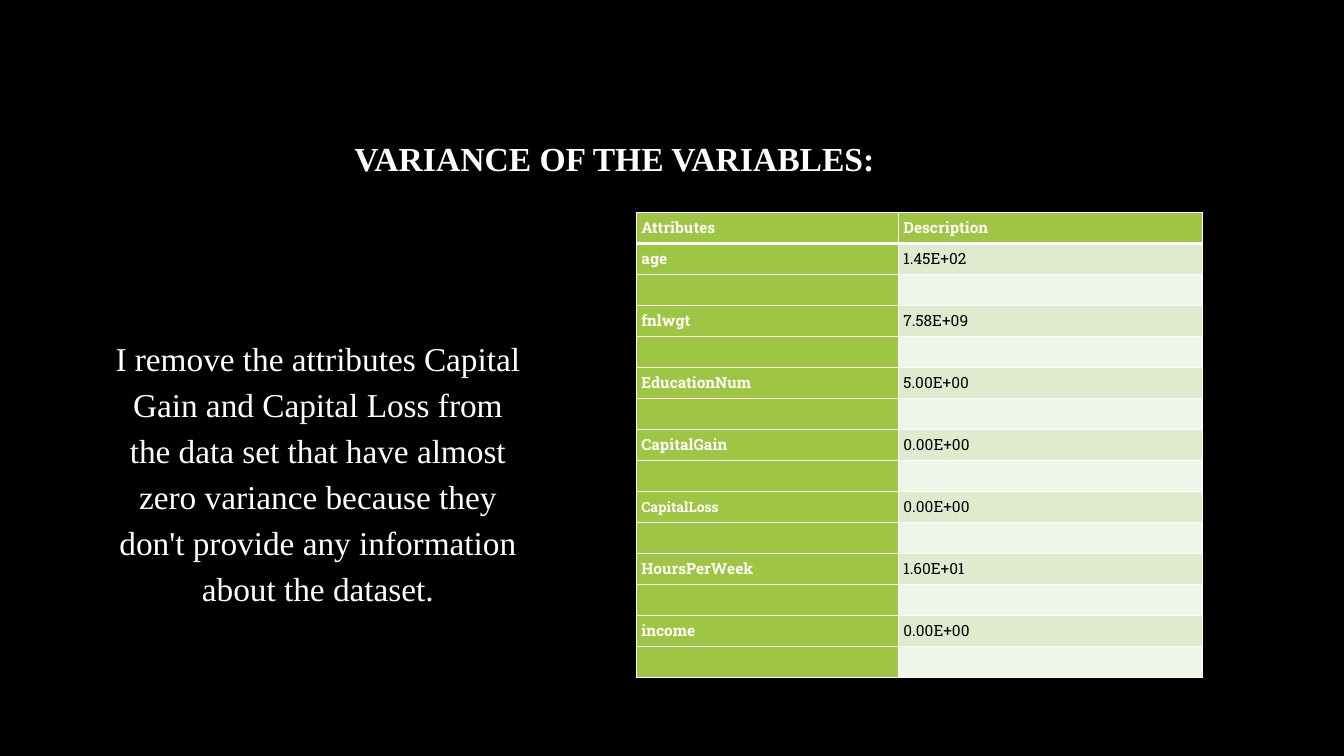
from pptx import Presentation
from pptx.dml.color import RGBColor
from pptx.enum.text import MSO_ANCHOR, MSO_AUTO_SIZE, PP_ALIGN
from pptx.oxml.ns import qn
from pptx.oxml.xmlchemy import OxmlElement
from pptx.util import Pt

TOP, MIDDLE, BOTTOM = MSO_ANCHOR.TOP, MSO_ANCHOR.MIDDLE, MSO_ANCHOR.BOTTOM
LEFT, CENTER = PP_ALIGN.LEFT, PP_ALIGN.CENTER
NO_FIT = MSO_AUTO_SIZE.NONE

COLORS = {
    "background": "000000",
    "light": "FFFFFF",
    "dark": "000000",
    "label": "9EC544",
    "value": "DFEACF",
    "spacer": "F0F5E9",
}
SERIF = "Times New Roman"
SLAB = "Roboto Slab"

VARIANCES = [
    ("age", "1.45E+02"),
    ("fnlwgt", "7.58E+09"),
    ("EducationNum", "5.00E+00"),
    ("CapitalGain", "0.00E+00"),
    ("CapitalLoss", "0.00E+00"),
    ("HoursPerWeek", "1.60E+01"),
    ("income", "0.00E+00"),
]
SMALL_LABEL = "CapitalLoss"


def rgb(name):
    return RGBColor.from_string(COLORS[name])


def write(frame, text, font=SERIF, size=24, color="light", bold=False,
          align=LEFT, spacing=1.0):
    para = frame.paragraphs[0]
    para.alignment = align
    para.line_spacing = spacing
    para.space_before = Pt(0)
    if not text:
        end = OxmlElement("a:endParaRPr")
        end.set("sz", str(size * 100))
        para._p.append(end)
        return para
    span = para.add_run()
    span.text = text
    span.font.name = font
    span.font.size = Pt(size)
    span.font.bold = bold
    span.font.color.rgb = rgb(color)
    return para


class SlideBuilder:
    def __init__(self, deck):
        self.page = deck.slides.add_slide(deck.slide_layouts[1])
        fill = self.page.background.fill
        fill.solid()
        fill.fore_color.rgb = rgb("background")

    def place(self, box, left, top, width, height, anchor):
        box.left, box.top = Pt(left), Pt(top)
        box.width, box.height = Pt(width), Pt(height)
        frame = box.text_frame
        frame.word_wrap = True
        frame.auto_size = NO_FIT
        frame.vertical_anchor = anchor
        return frame

    def title(self, text, *bounds):
        frame = self.place(self.page.shapes.title, *bounds, anchor=BOTTOM)
        frame.margin_left = Pt(42)
        frame.margin_bottom = Pt(34)
        write(frame, text, bold=True, align=CENTER, spacing=0.9)

    def body(self, text, *bounds):
        frame = self.place(self.page.placeholders[1], *bounds, anchor=TOP)
        para = write(frame, text, size=23.8, align=CENTER, spacing=1.15)
        properties = para._p.get_or_add_pPr()
        properties.set("marL", "0")
        properties.set("indent", "0")
        properties.append(OxmlElement("a:buNone"))

    def border(self, cell, **widths):
        properties = cell._tc.get_or_add_tcPr()
        for position, (side, width) in enumerate(widths.items()):
            line = OxmlElement(f"a:ln{side}")
            line.set("w", str(Pt(width)))
            fill = OxmlElement("a:solidFill")
            color = OxmlElement("a:srgbClr")
            color.set("val", COLORS["light"])
            fill.append(color)
            line.append(fill)
            properties.insert(position, line)

    def cell(self, cell, text, fill, row, **text_format):
        cell.margin_left = cell.margin_right = Pt(3.6)
        cell.margin_top = cell.margin_bottom = Pt(3.6)
        cell.vertical_anchor = MIDDLE
        cell.fill.solid()
        cell.fill.fore_color.rgb = rgb(fill)
        self.border(cell, L=1, R=1, T=3 if row == 1 else 1, B=3 if row == 0 else 1)
        write(cell.text_frame, text, font=SLAB, **text_format)

    def table(self, header, records, left, top, widths, row_height):
        rows = [header]
        for record in records:
            rows += [record, ("", "")]
        frame = self.page.shapes.add_table(
            len(rows), len(widths), Pt(left), Pt(top),
            Pt(sum(widths)), Pt(row_height * len(rows)))
        table = frame.table
        for column, width in zip(table.columns, widths):
            column.width = Pt(width)
        for row, texts in enumerate(rows):
            table.rows[row].height = Pt(row_height)
            for column, text in enumerate(texts):
                is_label = row == 0 or column == 0
                band = "value" if row % 2 else "spacer"
                self.cell(table.cell(row, column), text,
                          "label" if is_label else band, row,
                          size=10 if text == SMALL_LABEL else 11,
                          color="light" if is_label else "dark",
                          bold=is_label)


def main():
    deck = Presentation()
    deck.slide_width, deck.slide_height = Pt(960), Pt(540)
    slide = SlideBuilder(deck)
    slide.title("VARIANCE OF THE VARIABLES:", 66, 36, 711, 126)
    slide.table(("Attributes", "Description"), VARIANCES,
                left=454.5, top=151.75, widths=(187.2, 217.4), row_height=22.15)
    slide.body("I remove the attributes Capital Gain and Capital Loss from the "
               "data set that have almost zero variance because they don't "
               "provide any information about the dataset.",
               72, 234, 310, 222)
    deck.save("out.pptx")


if __name__ == "__main__":
    main()
